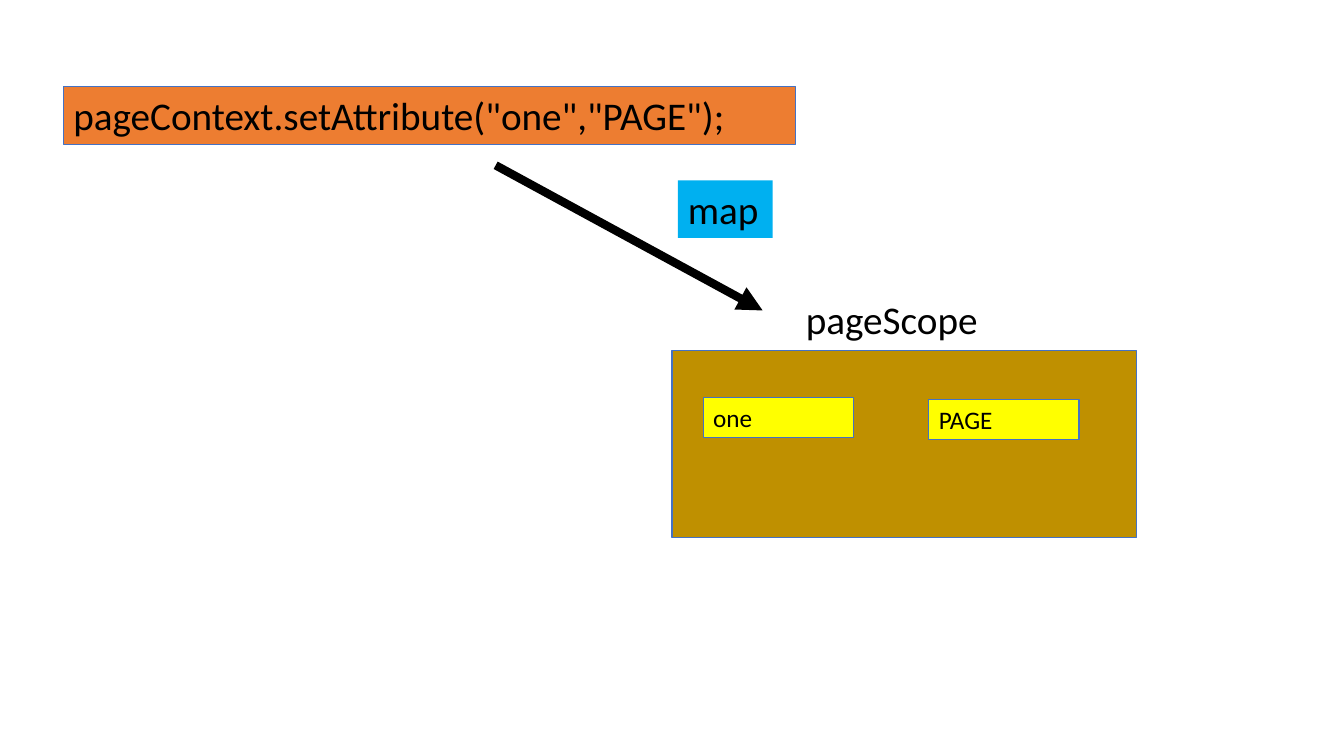
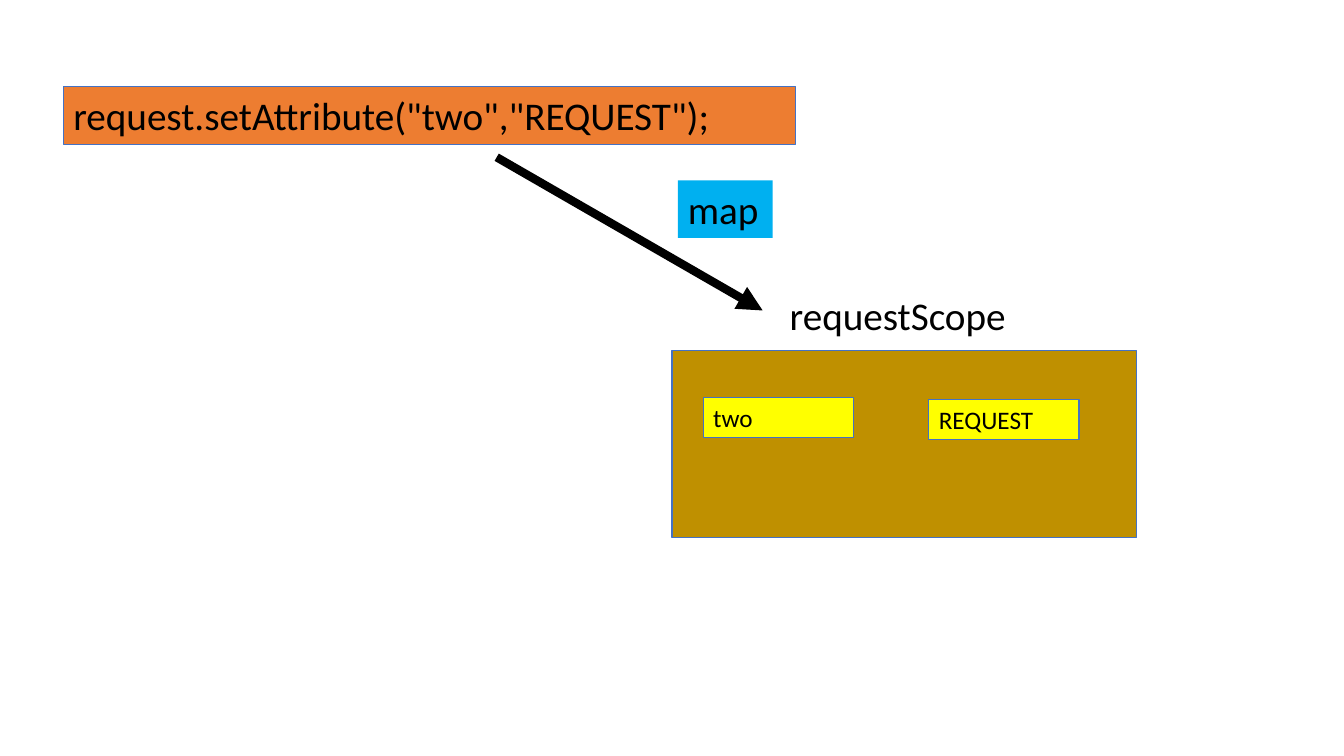
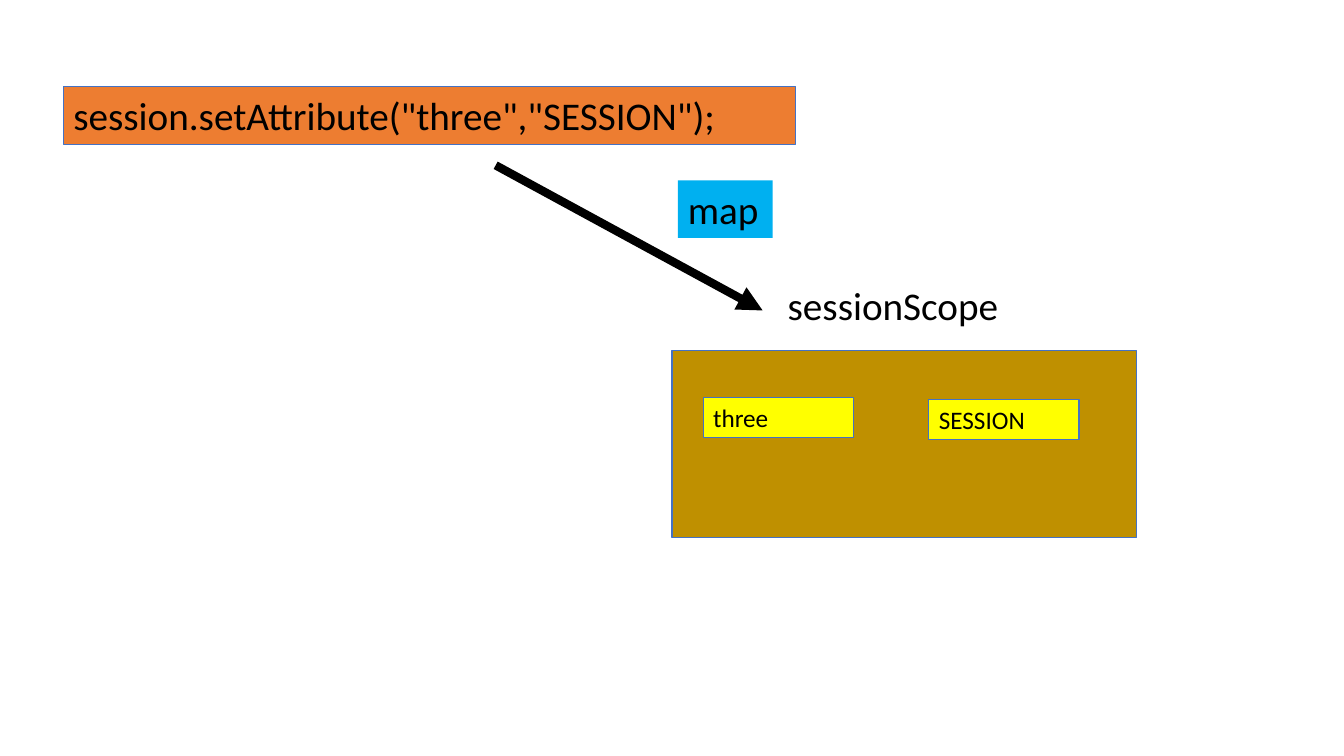
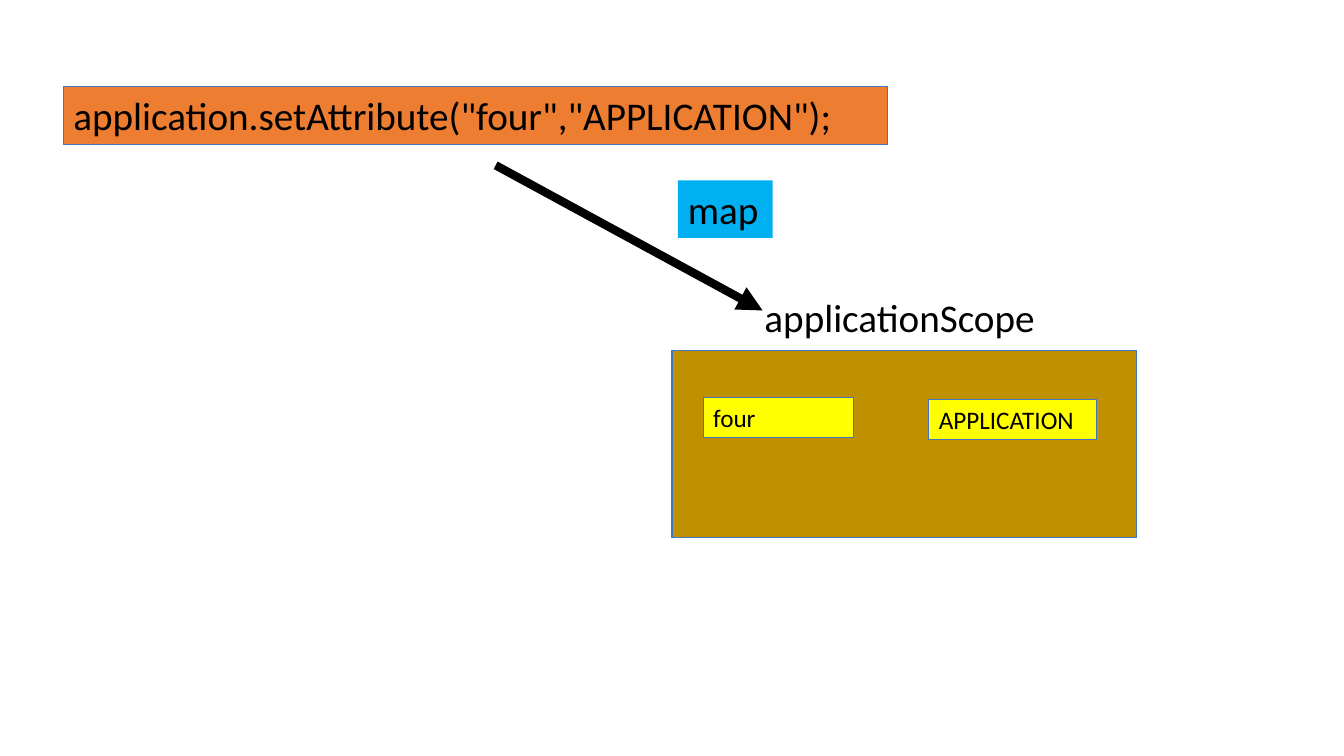
from pptx import Presentation
from pptx.dml.color import RGBColor
from pptx.enum.shapes import MSO_CONNECTOR, MSO_SHAPE
from pptx.enum.text import MSO_ANCHOR, MSO_AUTO_SIZE, PP_ALIGN
from pptx.oxml.ns import qn
from pptx.util import Inches, Pt
from lxml.etree import SubElement

ORANGE = RGBColor(0xED, 0x7D, 0x31)
GOLD = RGBColor(0xBF, 0x90, 0x00)
YELLOW = RGBColor(0xFF, 0xFF, 0x00)
SKY = RGBColor(0x00, 0xB0, 0xF0)
BLUE = RGBColor(0x44, 0x72, 0xC4)
BLACK = RGBColor(0x00, 0x00, 0x00)

FONT = "Calibri"
LARGE, SMALL = 28, 18
LARGE_HEIGHT, SMALL_HEIGHT = 0.57, 0.4
ARROW_END = (7.57, 3.08)

SCOPES = [
    {"owner": "pageContext", "scope": "pageScope", "key": "one", "value": "PAGE",
     "label": (7.9, 2.88, 2.22), "arrow_start": (4.92, 1.64),
     "code_width": 7.27, "value_width": 1.49},
    {"owner": "request", "scope": "requestScope", "key": "two", "value": "REQUEST",
     "label": (7.74, 2.84, 2.46), "arrow_start": (4.93, 1.56),
     "code_width": 7.27, "value_width": 1.49},
    {"owner": "session", "scope": "sessionScope", "key": "three", "value": "SESSION",
     "label": (7.72, 2.74, 2.88), "arrow_start": (4.92, 1.64),
     "code_width": 7.27, "value_width": 1.49},
    {"owner": "application", "scope": "applicationScope", "key": "four", "value": "APPLICATION",
     "label": (7.49, 2.86, 2.96), "arrow_start": (4.92, 1.64),
     "code_width": 8.18, "value_width": 1.66},
]


def write(shape, text, size):
    frame = shape.text_frame
    frame.word_wrap = True
    frame.auto_size = MSO_AUTO_SIZE.SHAPE_TO_FIT_TEXT
    frame.vertical_anchor = MSO_ANCHOR.TOP
    frame.text = text
    para = frame.paragraphs[0]
    para.alignment = PP_ALIGN.LEFT
    font = para.runs[0].font
    font.name, font.size = FONT, Pt(size)
    font.color.rgb = BLACK


def add_box(slide, place, fill, text=None, size=LARGE, outlined=True):
    box = slide.shapes.add_shape(MSO_SHAPE.RECTANGLE, *map(Inches, place))
    box.shadow.inherit = False
    box.fill.solid()
    box.fill.fore_color.rgb = fill
    if outlined:
        box.line.color.rgb = BLUE
        box.line.width = Pt(0.75)
    else:
        box.line.fill.background()
    if text:
        write(box, text, size)


def add_label(slide, place, text):
    write(slide.shapes.add_textbox(*map(Inches, place)), text, LARGE)


def add_arrow(slide, start, end):
    arrow = slide.shapes.add_connector(MSO_CONNECTOR.STRAIGHT, *map(Inches, start + end))
    arrow.line.color.rgb = BLACK
    arrow.line.width = Pt(6)
    SubElement(arrow.line._get_or_add_ln(), qn("a:tailEnd"), type="triangle")
    SubElement(arrow._element.spPr, qn("a:effectLst"))


def add_scope_slide(deck, item):
    slide = deck.slides.add_slide(deck.slide_layouts[6])
    code = f'{item["owner"]}.setAttribute("{item["key"]}","{item["value"]}");'
    add_box(slide, (0.63, 0.86, item["code_width"], LARGE_HEIGHT), ORANGE, code)
    add_box(slide, (6.67, 3.48, 4.61, 1.85), GOLD)
    add_label(slide, (*item["label"], LARGE_HEIGHT), item["scope"])
    add_box(slide, (6.98, 3.94, 1.49, SMALL_HEIGHT), YELLOW, item["key"], SMALL)
    add_box(slide, (9.22, 3.96, item["value_width"], SMALL_HEIGHT), YELLOW, item["value"], SMALL)
    add_arrow(slide, item["arrow_start"], ARROW_END)
    add_box(slide, (6.73, 1.79, 0.94, LARGE_HEIGHT), SKY, "map", outlined=False)


def main():
    deck = Presentation()
    deck.slide_width, deck.slide_height = Inches(13.34), Inches(7.5)
    for item in SCOPES:
        add_scope_slide(deck, item)
    deck.save("out.pptx")


if __name__ == "__main__":
    main()
